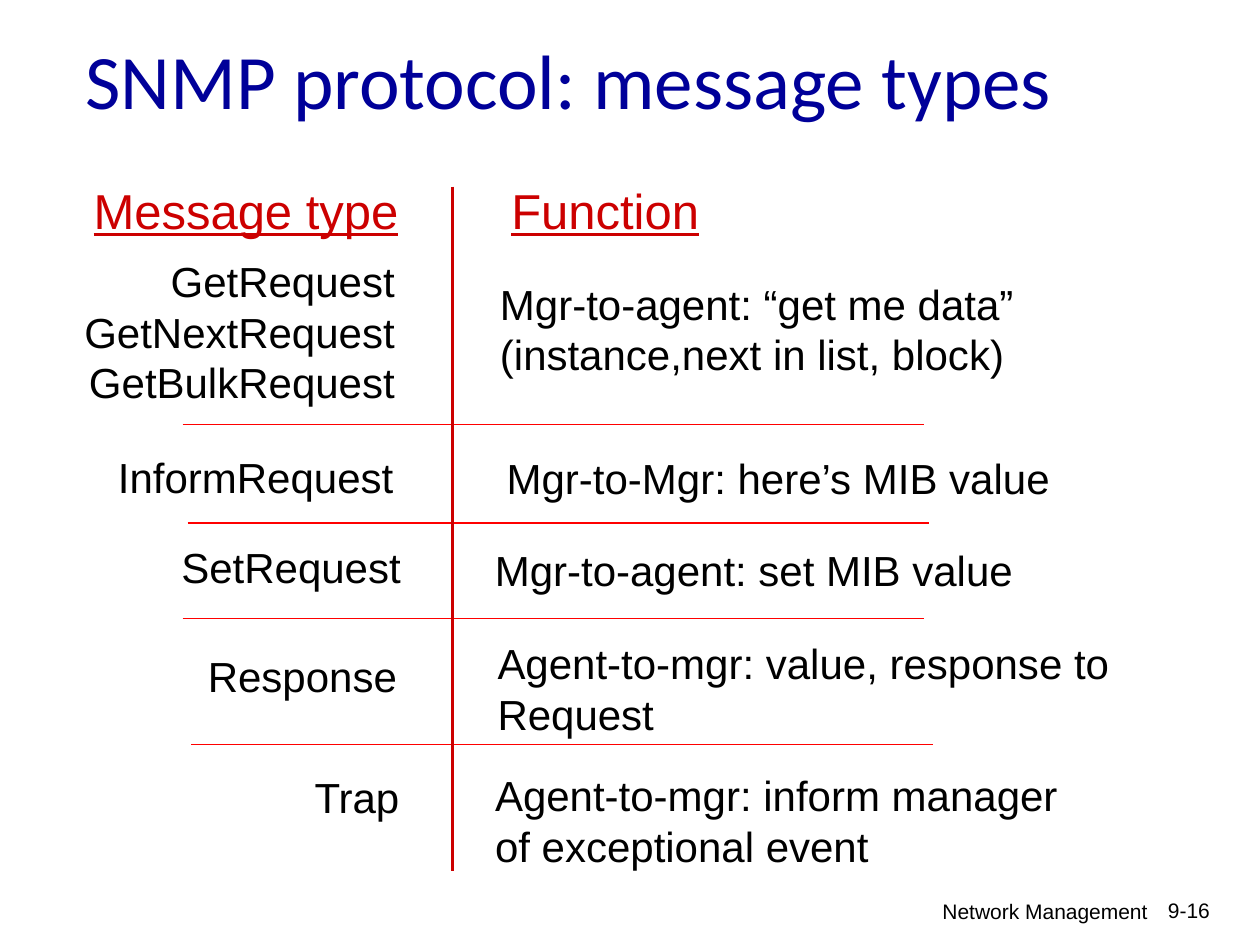
from dataclasses import dataclass

from lxml.etree import SubElement
from pptx import Presentation
from pptx.dml.color import RGBColor
from pptx.enum.shapes import MSO_CONNECTOR as Connector
from pptx.enum.text import MSO_ANCHOR as Anchor, PP_ALIGN as Align
from pptx.oxml.ns import qn
from pptx.slide import Slide
from pptx.util import Cm, Pt

BLACK = RGBColor(0x00, 0x00, 0x00)
NAVY = RGBColor(0x00, 0x00, 0x99)
CRIMSON = RGBColor(0xCC, 0x00, 0x00)
RED = RGBColor(0xFF, 0x00, 0x00)

ROW_HEIGHT = 1.27
TWO_ROWS = 2.29
TYPE_WIDTH = 7.16
RULE_LENGTH = 14.94


@dataclass(frozen=True)
class Label:
    """A text box; lengths are in centimetres."""
    text: str
    left: float
    top: float
    width: float
    height: float = ROW_HEIGHT
    align: Align = Align.LEFT
    size: float = 24
    color: RGBColor = BLACK
    font: str = "Arial"
    underline: bool = False
    wrap: bool = True
    anchor: Anchor = Anchor.TOP


@dataclass(frozen=True)
class Rule:
    """A straight line; lengths are in centimetres, weight in points."""
    left: float
    top: float
    right: float
    bottom: float
    color: RGBColor = RED
    weight: float = 1


def message_type(text: str, left: float, top: float) -> Label:
    return Label(text, left, top, TYPE_WIDTH, align=Align.RIGHT)


def heading(text: str, left: float, width: float, align: Align) -> Label:
    return Label(text, left, 3.51, width, 1.45, align, 28, CRIMSON,
                 underline=True, wrap=False)


def row_rule(left: float, top: float) -> Rule:
    return Rule(left, top, left + RULE_LENGTH, top)


TITLE = Label("SNMP protocol: message types", 1.47, 0, 21.59, 3.18,
              size=44, color=NAVY, font="Calibri", anchor=Anchor.MIDDLE)

FOOTER = [
    Label("Network Management", 15.34, 17.98, 8.05, 0.81, Align.RIGHT, 12),
    Label("9-16", 22.99, 17.96, 1.65, 0.91, Align.RIGHT, 12),
]

HEADINGS = [
    heading("Message type", 1.63, 6.65, Align.RIGHT),
    heading("Function", 10.06, 4.29, Align.LEFT),
]

MESSAGE_TYPES = [
    Label("GetRequest\nGetNextRequest\nGetBulkRequest", 1.45, 5.03, 6.76, 3.3,
          Align.RIGHT, wrap=False),
    message_type("InformRequest", 1.02, 8.97),
    message_type("SetRequest", 1.17, 10.8),
    message_type("Response", 1.09, 12.98),
    message_type("Trap", 1.14, 15.42),
]

FUNCTIONS = [
    Label("Mgr-to-agent: “get me data”\n(instance,next in list, block)",
          9.83, 5.49, 11.1, TWO_ROWS),
    Label("Mgr-to-Mgr: here’s MIB value", 8.89, 8.99, 12.52, align=Align.RIGHT),
    Label("Mgr-to-agent: set MIB value", 8.81, 10.85, 11.86, align=Align.RIGHT),
    Label("Agent-to-mgr: value, response to\nRequest",
          9.78, 12.73, 17.75, TWO_ROWS),
    Label("Agent-to-mgr: inform manager\nof exceptional event",
          9.73, 15.39, 13.31, TWO_ROWS),
]

RULES = [
    row_rule(3.68, 8.56),
    row_rule(3.78, 10.54),
    row_rule(3.68, 12.47),
    row_rule(3.86, 15.01),
    Rule(9.12, 3.76, 9.12, 17.55, CRIMSON, 2),
]


def draw_label(page: Slide, label: Label) -> None:
    box = page.shapes.add_textbox(Cm(label.left), Cm(label.top),
                                  Cm(label.width), Cm(label.height))
    frame = box.text_frame
    frame.word_wrap = label.wrap
    frame.vertical_anchor = label.anchor
    frame.text = label.text
    for para in frame.paragraphs:
        para.alignment = label.align
        for span in para.runs:
            span.font.name = label.font
            span.font.size = Pt(label.size)
            span.font.color.rgb = label.color
            if label.underline:
                span.font.underline = True


def draw_rule(page: Slide, rule: Rule) -> None:
    line = page.shapes.add_connector(Connector.STRAIGHT,
                                     Cm(rule.left), Cm(rule.top),
                                     Cm(rule.right), Cm(rule.bottom))
    line.line.color.rgb = rule.color
    line.line.width = Pt(rule.weight)
    SubElement(line._element.spPr, qn("a:effectLst"))


def main() -> None:
    deck = Presentation()
    deck.slide_width, deck.slide_height = Cm(25.4), Cm(19.05)
    page = deck.slides.add_slide(deck.slide_layouts[6])
    for label in [*FOOTER, TITLE, *HEADINGS, *MESSAGE_TYPES, *FUNCTIONS]:
        draw_label(page, label)
    for rule in RULES:
        draw_rule(page, rule)
    deck.save("out.pptx")


if __name__ == "__main__":
    main()
